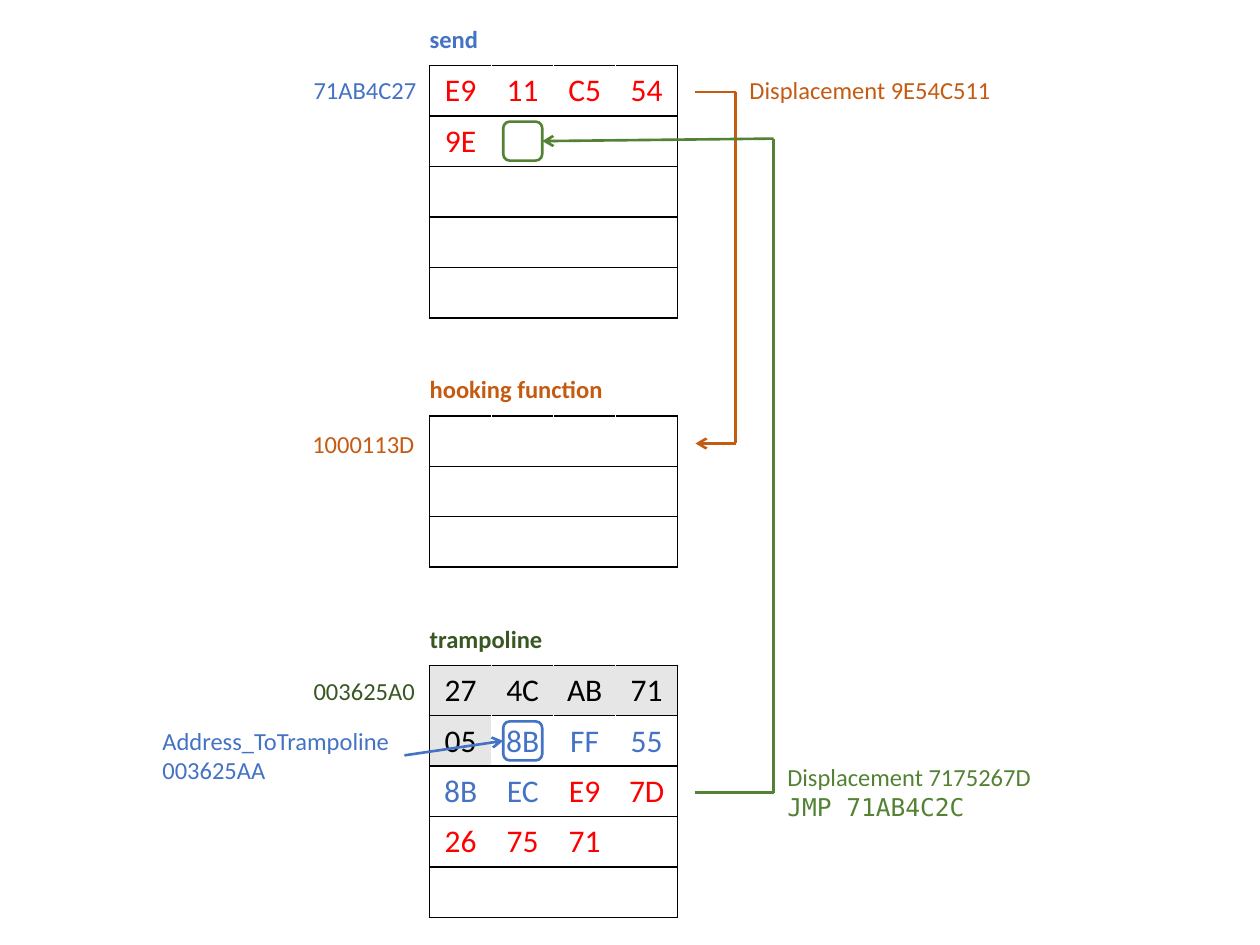
from itertools import pairwise

from pptx import Presentation
from pptx.dml.color import RGBColor
from pptx.enum.shapes import MSO_CONNECTOR, MSO_SHAPE
from pptx.enum.text import MSO_ANCHOR, MSO_AUTO_SIZE, PP_ALIGN
from pptx.oxml.ns import qn
from pptx.util import Inches, Pt
from lxml import etree

STRAIGHT = MSO_CONNECTOR.STRAIGHT
ROUNDED = MSO_SHAPE.ROUNDED_RECTANGLE
MIDDLE = MSO_ANCHOR.MIDDLE
CENTER = PP_ALIGN.CENTER
FIT = MSO_AUTO_SIZE.SHAPE_TO_FIT_TEXT

COLORS = {
    "black": "000000", "white": "FFFFFF", "gray": "E7E6E6", "red": "FF0000",
    "blue": "4472C4", "orange": "C55A11", "green": "548235", "dark green": "385723",
}
FONT, MONO = "Calibri", "DejaVu Sans Mono"
COLS = 4
COL_W, ROW_H = 0.4925, 0.4
TABLE_X = 3.41
SEND_Y, HOOK_Y, TRAMPOLINE_Y = 0.52, 3.3, 5.28
BOX = 0.31
EXIT_X = 5.52
LEFT, RIGHT = 1, 3


def rgb(name):
    return RGBColor.from_string(COLORS[name])


def format_runs(p, size, color, font=FONT, bold=False):
    for r in p.runs:
        r.font.size, r.font.name, r.font.bold = Pt(size), font, bold
        r.font.color.rgb = rgb(color)


def add_text(slide, x, y, w, h, lines, color, bold=False, inset=True, fonts=(FONT, FONT)):
    s = slide.shapes.add_textbox(Inches(x), Inches(y), Inches(w), Inches(h))
    tf = s.text_frame
    tf.word_wrap = False
    tf.auto_size = FIT
    if not inset:
        tf.margin_left = tf.margin_right = tf.margin_top = tf.margin_bottom = 0
    tf.text = lines
    for p, font in zip(tf.paragraphs, fonts):
        format_runs(p, 14, color, font, bold)
    return s


def set_borders(cell, **sides):
    tc_pr = cell._tc.get_or_add_tcPr()
    for side in "LRTB":
        ln = etree.SubElement(tc_pr, qn(f"a:ln{side}"), w=str(Pt(1)))
        fill = etree.SubElement(ln, qn("a:solidFill"))
        etree.SubElement(fill, qn("a:srgbClr"), val=COLORS[sides.get(side, "black")])


def add_memory(slide, y, rows, title, title_w, title_color, groups=(), shaded=0):
    """Table of bytes; groups are (colour, bytes) in reading order, the first ones shaded."""
    add_text(slide, TABLE_X, y - 0.33, title_w, 0.24, title, title_color, bold=True, inset=False)
    table = slide.shapes.add_table(rows, COLS, Inches(TABLE_X), Inches(y),
                                   Inches(COLS * COL_W), Inches(rows * ROW_H)).table
    table.first_row = table.horz_banding = False
    for col in table.columns:
        col.width = Inches(COL_W)
    for row in table.rows:
        row.height = Inches(ROW_H)

    def divider(i):
        """Colour of the border between cell i and the next one."""
        if i % COLS == COLS - 1:
            return "black"
        return "gray" if i + 1 < shaded else "white"

    cells = list(table.iter_cells())
    for i, cell in enumerate(cells):
        left = divider(i - 1) if i % COLS else "black"
        set_borders(cell, L=left, R=divider(i))
        cell.vertical_anchor = MIDDLE
        if i < shaded:
            cell.fill.solid()
            cell.fill.fore_color.rgb = rgb("gray")
        else:
            cell.fill.background()

    values = [(color, byte) for color, text in groups for byte in text.split()]
    for cell, (color, byte) in zip(cells, values):
        cell.text = byte
        p = cell.text_frame.paragraphs[0]
        p.alignment = CENTER
        format_runs(p, 18, color)


def add_marker(slide, table_y, color, fill=None):
    """Rounded frame around the second byte of a table's second row."""
    x = TABLE_X + 1.5 * COL_W - BOX / 2
    y = table_y + 1.5 * ROW_H - BOX / 2
    s = slide.shapes.add_shape(ROUNDED, Inches(x), Inches(y), Inches(BOX), Inches(BOX))
    s.shadow.inherit = False
    if fill:
        s.fill.solid()
        s.fill.fore_color.rgb = rgb(fill)
    else:
        s.fill.background()
    s.line.color.rgb = rgb(color)
    s.line.width = Pt(1.5)
    return s


def add_route(slide, points, color):
    """Straight lines through the points, with an arrowhead on the last one."""
    for (x1, y1), (x2, y2) in pairwise(points):
        line = slide.shapes.add_connector(STRAIGHT, Inches(x1), Inches(y1),
                                          Inches(x2), Inches(y2))
        line.line.color.rgb = rgb(color)
        line.line.width = Pt(1.5)
        etree.SubElement(line._element.spPr, qn("a:effectLst"))
    etree.SubElement(line.line._get_or_add_ln(), qn("a:tailEnd"), type="arrow")
    return line


def main():
    prs = Presentation()
    prs.slide_width, prs.slide_height = Inches(10), Inches(7.5)
    slide = prs.slides.add_slide(prs.slide_layouts[6])

    add_memory(slide, SEND_Y, 5, "send", 0.39, "blue", [("red", "E9 11 C5 54 9E")])
    add_memory(slide, HOOK_Y, 3, "hooking function", 1.38, "orange")
    add_memory(slide, TRAMPOLINE_Y, 5, "trampoline", 0.9, "dark green",
               [("black", "27 4C AB 71 05"), ("blue", "8B FF 55 8B EC"),
                ("red", "E9 7D 26 75 71")], shaded=5)

    add_text(slide, 2.39, 0.55, 1.03, 0.34, "71AB4C27", "blue")
    add_text(slide, 2.38, 3.36, 1.02, 0.34, "1000113D", "orange")
    add_text(slide, 2.39, 5.32, 1.02, 0.34, "003625A0", "dark green")
    add_text(slide, 5.85, 0.55, 2.14, 0.34, "Displacement 9E54C511", "orange")
    add_text(slide, 6.15, 6, 2.16, 0.57, "Displacement 7175267D\nJMP 71AB4C2C",
             "green", fonts=(FONT, MONO))
    address = add_text(slide, 1.19, 5.71, 2.02, 0.57, "Address_ToTrampoline\n003625AA", "blue")

    add_route(slide, [(EXIT_X, 0.73), (5.84, 0.73), (5.84, 3.52), (EXIT_X, 3.52)], "orange")

    resume = add_marker(slide, SEND_Y, "green", fill="white")
    jump = add_route(slide, [(EXIT_X, 6.29), (6.14, 6.29), (6.14, 1.1), (4.3, 1.12)], "green")
    jump.end_connect(resume, RIGHT)

    saved_code = add_marker(slide, TRAMPOLINE_Y, "blue")
    pointer = add_route(slide, [(3.21, 5.99), (3.99, 5.88)], "blue")
    pointer.begin_connect(address, RIGHT)
    pointer.end_connect(saved_code, LEFT)

    prs.save("out.pptx")


if __name__ == "__main__":
    main()
